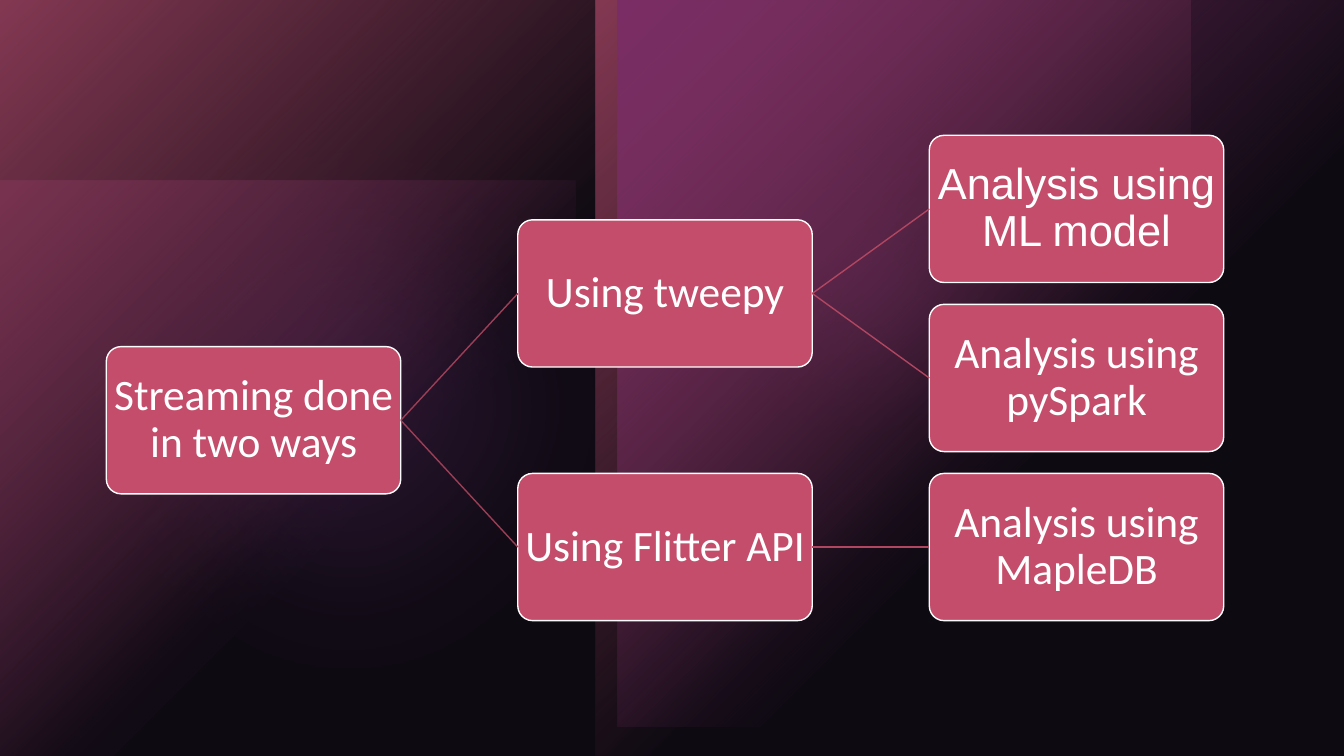
"""Build the streaming tree slide on a dark glowing backdrop."""
import lxml.etree
import pptx
import pptx.dml.color
import pptx.enum.shapes
import pptx.enum.text
import pptx.oxml
import pptx.oxml.ns
import pptx.util

Cm = pptx.util.Cm
Pt = pptx.util.Pt
Shapes = pptx.enum.shapes.MSO_SHAPE
qn = pptx.oxml.ns.qn

WIDTH, HEIGHT = 33.87, 19.05
BOX_WIDTH, BOX_HEIGHT = 7.42, 3.71
TREE_LEFT, TREE_TOP = 2.68, 3.41
COLUMN_STEP, ROW_STEP = 10.37, 4.26
ROSE, PLUM, ORCHID, VEIL = "C34D6A", "B13B89", "BA4DC3", "251A2F"
BRANCH_COLORS = ["9C3E55", "B14660"]

TREE = ("Streaming done in two ways", "Calibri", [
    ("Using tweepy", "Calibri", [
        ("Analysis using ML model", "Arial", []),
        ("Analysis using pySpark", "Calibri", []),
    ]),
    ("Using Flitter API", "Calibri", [
        ("Analysis using MapleDB", "Calibri", []),
    ]),
])


def rgb(value):
    return pptx.dml.color.RGBColor.from_string(value)


def add_panel(page, kind, left, top, width, height):
    panel = page.shapes.add_shape(kind, Cm(left), Cm(top), Cm(width), Cm(height))
    panel.shadow.inherit = False
    panel.line.fill.background()
    return panel


def add_corner_glow(page, left, top, width, height, color, opacity):
    panel = add_panel(page, Shapes.RECTANGLE, left, top, width, height)
    gradient = pptx.oxml.parse_xml(
        f'<a:gradFill {pptx.oxml.ns.nsdecls("a")} rotWithShape="1"><a:gsLst>'
        f'<a:gs pos="0"><a:srgbClr val="{color}"><a:alpha val="{opacity * 1000}"/></a:srgbClr></a:gs>'
        f'<a:gs pos="60000"><a:srgbClr val="{color}"><a:alpha val="0"/></a:srgbClr></a:gs>'
        '</a:gsLst><a:path path="circle"><a:fillToRect r="100000" b="100000"/></a:path></a:gradFill>')
    panel._element.spPr.find(qn("a:prstGeom")).addnext(gradient)


def add_tint(page, kind, left, top, width, height, color, opacity):
    panel = add_panel(page, kind, left, top, width, height)
    panel.fill.solid()
    panel.fill.fore_color.rgb = rgb(color)
    tone = panel._element.spPr.find(qn("a:solidFill")).find(qn("a:srgbClr"))
    lxml.etree.SubElement(tone, qn("a:alpha"), val=str(opacity * 1000))
    return panel


def add_soft_disc(page, left, top, size, opacity):
    disc = add_tint(page, Shapes.OVAL, left, top, size, size, ORCHID, opacity)
    effects = disc._element.spPr.find(qn("a:effectLst"))
    lxml.etree.SubElement(effects, qn("a:softEdge"), rad=str(Pt(100)))


def add_backdrop(page):
    page.background.fill.solid()
    page.background.fill.fore_color.rgb = rgb("000000")
    add_corner_glow(page, 0, 4.56, 14.5, 14.5, PLUM, 60)
    add_soft_disc(page, 15.98, 1.09, 12, 60)
    add_soft_disc(page, 0, 1.42, 17.63, 20)
    for left in (0, 15):
        add_corner_glow(page, left, 0, 15, HEIGHT, ROSE, 100)
    add_corner_glow(page, 15.56, 0, 18.31, 18.31, PLUM, 100)
    add_tint(page, Shapes.RECTANGLE, 0, 0, WIDTH, HEIGHT, VEIL, 40)


def add_box(page, text, font, column, row):
    box = page.shapes.add_shape(
        Shapes.ROUNDED_RECTANGLE,
        Cm(TREE_LEFT + column * COLUMN_STEP), Cm(TREE_TOP + row * ROW_STEP),
        Cm(BOX_WIDTH), Cm(BOX_HEIGHT))
    box.adjustments[0] = 0.1
    box.shadow.inherit = False
    box.fill.solid()
    box.fill.fore_color.rgb = rgb(ROSE)
    box.line.color.rgb = rgb("FFFFFF")
    box.line.width = Pt(1)
    frame = box.text_frame
    frame.word_wrap = True
    frame.vertical_anchor = pptx.enum.text.MSO_ANCHOR.MIDDLE
    frame.margin_left = frame.margin_right = Cm(0.04)
    frame.margin_top = frame.margin_bottom = Cm(0.04)
    para = frame.paragraphs[0]
    para.alignment = pptx.enum.text.PP_ALIGN.CENTER
    para.line_spacing = 0.9
    span = para.add_run()
    span.text = text
    span.font.name = font
    span.font.size = Pt(31)
    span.font.color.rgb = rgb("FFFFFF")
    return box


def add_branch(page, parent, child, color):
    branch = page.shapes.add_connector(
        pptx.enum.shapes.MSO_CONNECTOR.STRAIGHT, 0, 0, 0, 0)
    branch.begin_connect(parent, 3)
    branch.end_connect(child, 1)
    branch.line.color.rgb = rgb(color)
    branch.line.width = Pt(1)
    lxml.etree.SubElement(branch._element.spPr, qn("a:effectLst"))


def add_tree(page, node, column=0, first_row=0):
    text, font, children = node
    boxes, rows, next_row = [], [], first_row
    for child in children:
        box, row, next_row = add_tree(page, child, column + 1, next_row)
        boxes.append(box)
        rows.append(row)
    if not children:
        rows, next_row = [first_row], first_row + 1
    row = sum(rows) / len(rows)
    parent = add_box(page, text, font, column, row)
    for box in boxes:
        add_branch(page, parent, box, BRANCH_COLORS[column])
    return parent, row, next_row


def main():
    deck = pptx.Presentation()
    deck.slide_width, deck.slide_height = Cm(WIDTH), Cm(HEIGHT)
    page = deck.slides.add_slide(deck.slide_layouts[6])
    add_backdrop(page)
    add_tree(page, TREE)
    deck.save("out.pptx")


main()
